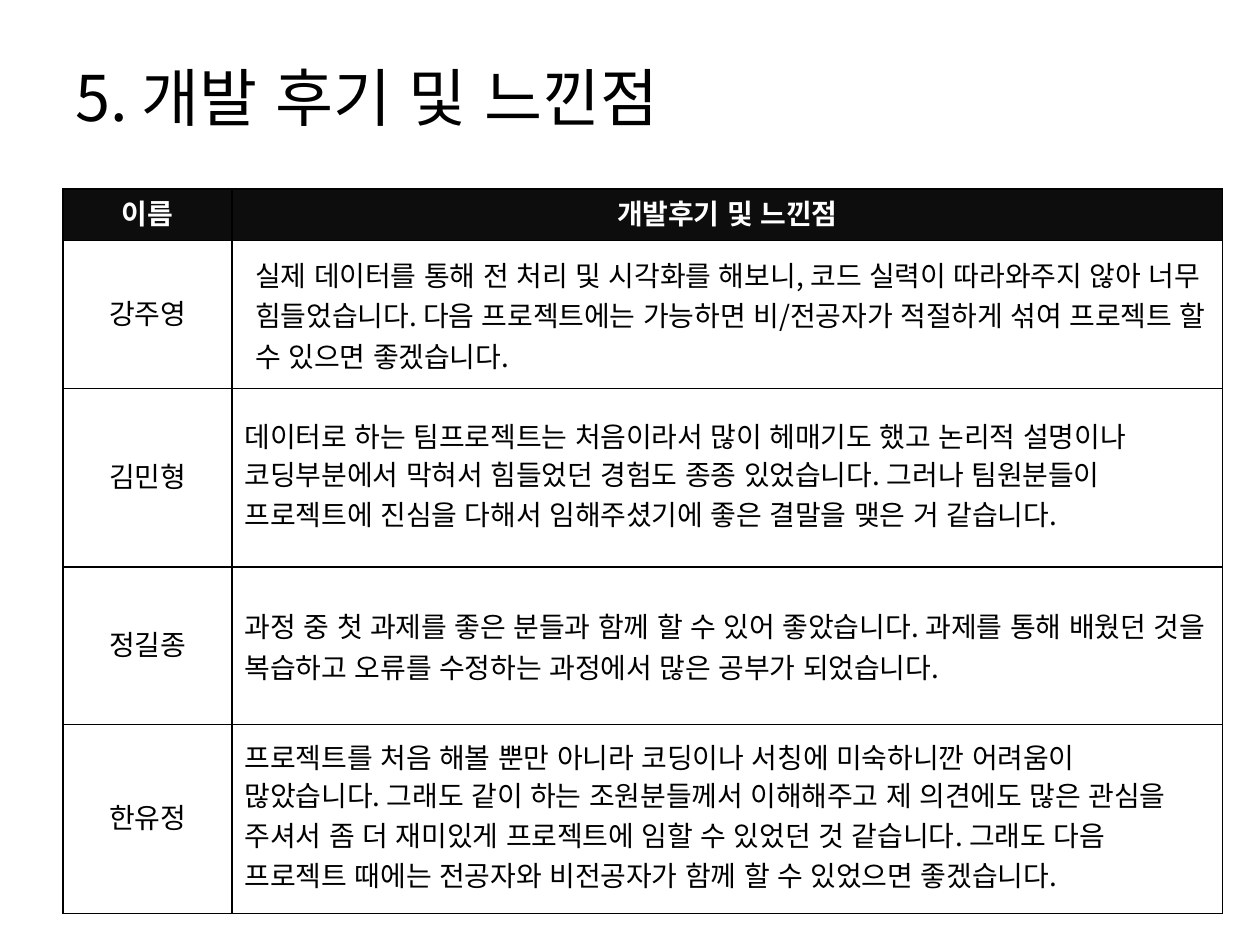
from lxml.etree import SubElement
from pptx import Presentation
from pptx.dml.color import RGBColor
from pptx.enum.text import MSO_ANCHOR as Anchor, MSO_AUTO_SIZE as AutoSize, PP_ALIGN as Align
from pptx.oxml.ns import qn
from pptx.util import Pt

LATIN, EAST_ASIAN = "Noto Sans CJK KR", "Arial"
BLACK, WHITE, HEADER_FILL = "000000", "FFFFFF", "0D0D0D"


def color(hex_string):
    return RGBColor.from_string(hex_string)


def write(frame, text, size=16, font=LATIN, ink=BLACK, bold=False,
          align=Align.LEFT, indent=0):
    paragraph = frame.paragraphs[0]
    paragraph.alignment = align
    if indent:
        paragraph._p.get_or_add_pPr().set("marL", str(Pt(indent)))
    run = paragraph.add_run()
    run.text = text
    run.font.size, run.font.bold, run.font.name = Pt(size), bold, font
    run.font.color.rgb = color(ink)
    # The East Asian typeface sets the width of the spaces between Korean words
    SubElement(run._r.get_or_add_rPr(), qn("a:ea"), typeface=EAST_ASIAN)


class ReviewSlide:
    border_width = 1

    def __init__(self, deck):
        self.slide = deck.slides.add_slide(deck.slide_layouts[6])

    def title(self, text, left, top, width, height):
        box = self.slide.shapes.add_textbox(Pt(left), Pt(top), Pt(width), Pt(height))
        box.text_frame.word_wrap = True
        box.text_frame.auto_size = AutoSize.SHAPE_TO_FIT_TEXT
        write(box.text_frame, text, size=36)

    def border(self, cell):
        properties = cell._tc.get_or_add_tcPr()
        for position, side in enumerate(("lnL", "lnR", "lnT", "lnB")):
            line = SubElement(properties, qn(f"a:{side}"), w=str(Pt(self.border_width)))
            fill = SubElement(line, qn("a:solidFill"))
            SubElement(fill, qn("a:srgbClr"), val=BLACK)
            properties.insert(position, line)

    def table(self, header, reviews, left, top, widths, heights):
        rows = [header] + reviews
        table = self.slide.shapes.add_table(
            len(rows), len(header), Pt(left), Pt(top),
            Pt(sum(widths)), Pt(sum(heights))).table
        for column, width in zip(table.columns, widths):
            column.width = Pt(width)
        for row, height in zip(table.rows, heights):
            row.height = Pt(height)

        for r, texts in enumerate(rows):
            for c, text in enumerate(texts):
                cell = table.cell(r, c)
                cell.vertical_anchor = Anchor.MIDDLE
                if r == 0:
                    cell.fill.solid()
                    cell.fill.fore_color.rgb = color(HEADER_FILL)
                    write(cell.text_frame, text, font="Arial", ink=WHITE,
                          bold=True, align=Align.CENTER)
                else:
                    cell.fill.background()
                    write(cell.text_frame, text,
                          align=Align.LEFT if c else Align.CENTER,
                          indent=6 if (r, c) == (1, 1) else 0)
                self.border(cell)


def main():
    deck = Presentation()
    deck.slide_width, deck.slide_height = Pt(720), Pt(540)
    review_slide = ReviewSlide(deck)

    # Title
    review_slide.title("5. 개발 후기 및 느낀점", 36, 29.7, 558, 51)

    # Team members and their reviews
    reviews = [
        ("강주영", "실제 데이터를 통해 전 처리 및 시각화를 해보니, 코드 실력이 따라와주지 않아 "
                  "너무 힘들었습니다. 다음 프로젝트에는 가능하면 비/전공자가 적절하게 섞여 "
                  "프로젝트 할 수 있으면 좋겠습니다."),
        ("김민형", "데이터로 하는 팀프로젝트는 처음이라서 많이 헤매기도 했고 논리적 설명이나 "
                  "코딩부분에서 막혀서 힘들었던 경험도 종종 있었습니다. 그러나 팀원분들이 "
                  "프로젝트에 진심을 다해서 임해주셨기에 좋은 결말을 맺은 거 같습니다."),
        ("정길종", "과정 중 첫 과제를 좋은 분들과 함께 할 수 있어 좋았습니다. 과제를 통해 배웠던 "
                  "것을 복습하고 오류를 수정하는 과정에서 많은 공부가 되었습니다."),
        ("한유정", "프로젝트를 처음 해볼 뿐만 아니라 코딩이나 서칭에 미숙하니깐 어려움이 "
                  "많았습니다. 그래도 같이 하는 조원분들께서 이해해주고 제 의견에도 많은 관심을 "
                  "주셔서 좀 더 재미있게 프로젝트에 임할 수 있었던 것 같습니다. 그래도 다음 "
                  "프로젝트 때에는 전공자와 비전공자가 함께 할 수 있었으면 좋겠습니다."),
    ]
    review_slide.table(("이름", "개발후기 및 느낀점"), reviews, 36, 108,
                       widths=(96.7, 565.8), heights=(29.5, 84.5, 102, 90, 108))

    deck.save("out.pptx")


if __name__ == "__main__":
    main()
